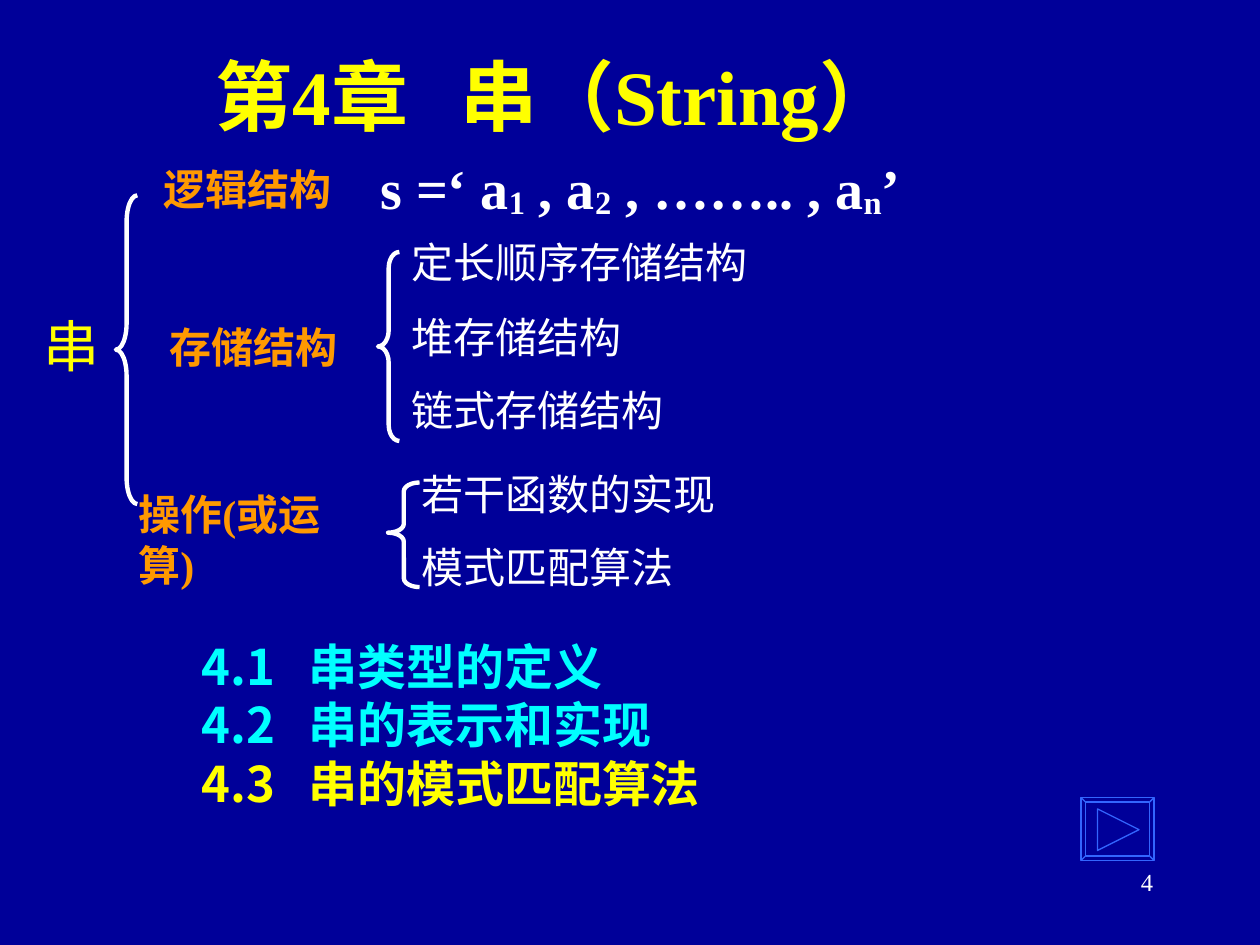
"""Build the chapter overview slide on strings."""
from dataclasses import dataclass

from lxml import etree
from pptx import Presentation
from pptx.dml.color import RGBColor
from pptx.enum.shapes import MSO_SHAPE
from pptx.enum.text import MSO_ANCHOR, PP_ALIGN
from pptx.oxml.ns import qn
from pptx.util import Inches, Pt

NAVY = RGBColor(0x00, 0x00, 0x99)
YELLOW = RGBColor(0xFF, 0xFF, 0x00)
WHITE = RGBColor(0xFF, 0xFF, 0xFF)
ORANGE = RGBColor(0xFF, 0x99, 0x00)
CYAN = RGBColor(0x00, 0xFF, 0xFF)
BLUE = RGBColor(0x33, 0x66, 0xFF)
SERIF = "Times New Roman"
SANS = "Noto Sans CJK SC"
LEFT_BRACE = MSO_SHAPE.LEFT_BRACE
BEVEL = MSO_SHAPE.BEVEL
TRIANGLE = MSO_SHAPE.ISOSCELES_TRIANGLE
CENTER, RIGHT = PP_ALIGN.CENTER, PP_ALIGN.RIGHT
MIDDLE = MSO_ANCHOR.MIDDLE


@dataclass
class Label:
    text: str
    x: float
    y: float
    w: float
    h: float = 0.5
    size: int = 24
    color: RGBColor = WHITE
    bold: bool = False


@dataclass
class Outline:
    kind: int
    x: float
    y: float
    w: float
    h: float
    adjust: tuple
    color: RGBColor = WHITE
    weight: float = 2.5
    rotation: int = 0


LABELS = [
    Label("串", 0.25, 2.42, 0.66, 0.64, 32, YELLOW),
    Label("逻辑结构", 1.2, 1.25, 1.55, color=ORANGE, bold=True),
    Label("存储结构", 1.25, 2.5, 1.55, color=ORANGE, bold=True),
    Label("操作(或运算)", 1, 3.83, 2, 0.9, color=ORANGE, bold=True),
    Label("定长顺序存储结构", 3.17, 1.83, 2.9),
    Label("堆存储结构", 3.17, 2.42, 1.9),
    Label("链式存储结构", 3.17, 3, 2.23),
    Label("若干函数的实现", 3.25, 3.67, 2.67),
    Label("模式匹配算法", 3.25, 4.25, 3.92),
]
OUTLINES = [
    Outline(LEFT_BRACE, 0.92, 1.55, 0.17, 2.45, (1.22, 0.5)),
    Outline(LEFT_BRACE, 3, 2, 0.17, 1.5, (0.75, 0.5)),
    Outline(LEFT_BRACE, 3.08, 3.83, 0.25, 0.83, (0.28, 0.48)),
    Outline(BEVEL, 8.58, 6.33, 0.58, 0.5, (0.07,), BLUE, 0.75),
    Outline(TRIANGLE, 8.71, 6.42, 0.33, 0.33, (0.5,), BLUE, 0.75, 90),
]
FORMULA = [("s =‘ a", 0), ("1", -8), (" , a", 0), ("2", -8),
           (" , …….. , a", 0), ("n", -8), ("’", 0)]
SECTIONS = [("4.1", "串类型的定义", CYAN), ("4.2", "串的表示和实现", CYAN),
            ("4.3", "串的模式匹配算法", YELLOW)]


def add_run(p, text: str, size: int, color: RGBColor, bold: bool = False,
            font: str = SERIF, **attrs: str) -> None:
    r = p.add_run()
    r.text = text
    r.font.size, r.font.bold, r.font.name = Pt(size), bold, font
    r.font.color.rgb = color
    rPr = r.font._element
    etree.SubElement(rPr, qn("a:ea")).set("typeface", SANS)
    for key, value in attrs.items():
        rPr.set(key, value)


def add_box(s, x: float, y: float, w: float, h: float):
    tf = s.shapes.add_textbox(Inches(x), Inches(y), Inches(w), Inches(h)).text_frame
    tf.word_wrap = True
    return tf


def add_label(s, label: Label) -> None:
    p = add_box(s, label.x, label.y, label.w, label.h).paragraphs[0]
    add_run(p, label.text, label.size, label.color, label.bold)


def add_outline(s, item: Outline) -> None:
    sp = s.shapes.add_shape(item.kind, Inches(item.x), Inches(item.y),
                            Inches(item.w), Inches(item.h))
    for i, value in enumerate(item.adjust):
        sp.adjustments[i] = value
    sp.rotation = item.rotation
    sp.shadow.inherit = False
    sp.fill.background()
    sp.line.color.rgb = item.color
    sp.line.width = Pt(item.weight)


def add_title(s) -> None:
    title = s.shapes.title
    title.left, title.top = Inches(0.83), Inches(0.25)
    title.width, title.height = Inches(7.17), Inches(1)
    tf = title.text_frame
    tf.vertical_anchor = MIDDLE
    p = tf.paragraphs[0]
    p.alignment = CENTER
    add_run(p, "第4章", 44, YELLOW, True)
    add_run(p, " ", 44, YELLOW, True, spc="1950")
    add_run(p, "串（String）", 44, YELLOW, True)


def add_formula(s) -> None:
    p = add_box(s, 2.92, 1.17, 5.67, 0.64).paragraphs[0]
    for text, shift in FORMULA:
        add_run(p, text, 32, WHITE, True, baseline=str(shift * 1000))


def add_sections(s) -> None:
    tf = add_box(s, 1.5, 5, 5.25, 1.5)
    for i, (number, name, color) in enumerate(SECTIONS):
        p = tf.paragraphs[0] if i == 0 else tf.add_paragraph()
        tabs = etree.SubElement(p._p.get_or_add_pPr(), qn("a:tabLst"))
        etree.SubElement(tabs, qn("a:tab"), pos=str(Inches(0.85)), algn="l")
        add_run(p, f"{number}\t{name}", 28, color, True, SANS)


def main() -> None:
    prs = Presentation()
    prs.slide_width, prs.slide_height = Inches(10), Inches(7.5)
    s = prs.slides.add_slide(prs.slide_layouts[5])
    s.background.fill.solid()
    s.background.fill.fore_color.rgb = NAVY
    add_title(s)
    add_formula(s)
    for item in OUTLINES:
        add_outline(s, item)
    for label in LABELS:
        add_label(s, label)
    add_sections(s)
    p = add_box(s, 7.17, 6.83, 2.08, 0.5).paragraphs[0]
    p.alignment = RIGHT
    add_run(p, "4", 14, WHITE)
    prs.save("out.pptx")


if __name__ == "__main__":
    main()
